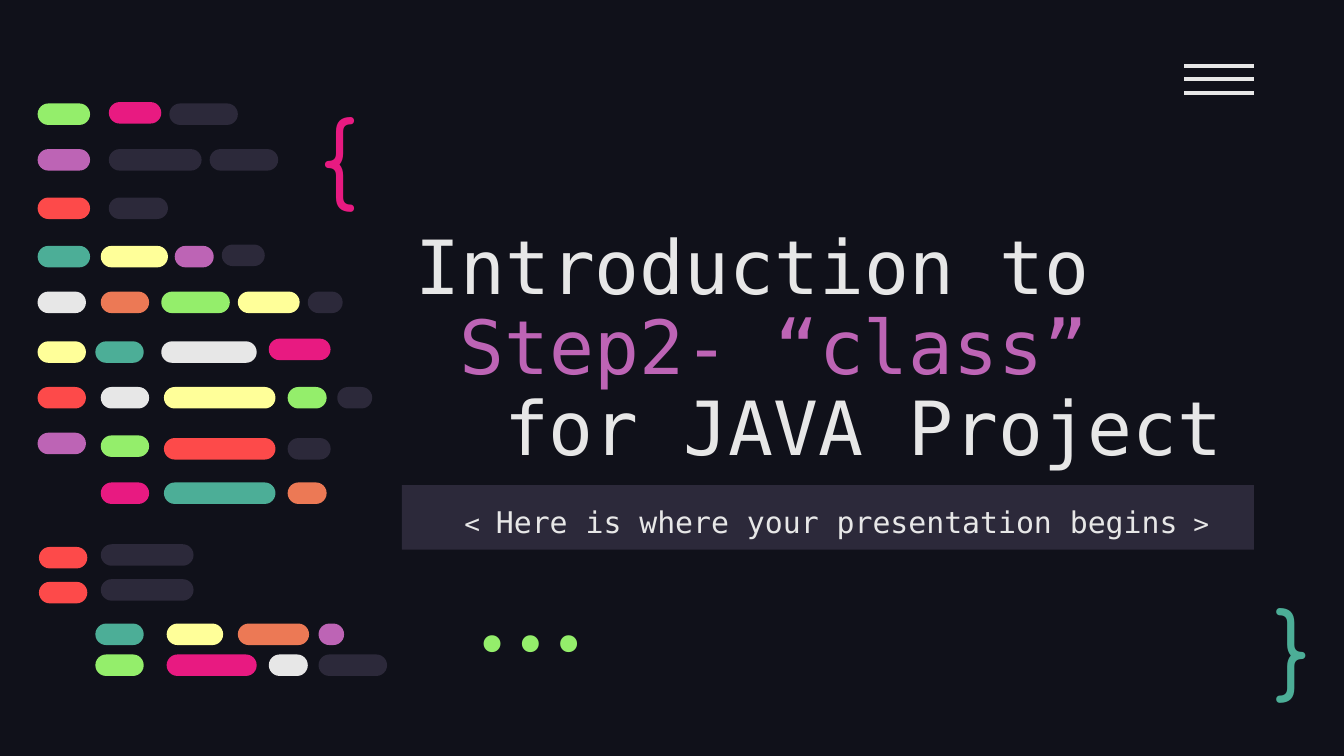
from lxml import etree
from pptx import Presentation, util as u
from pptx.dml.color import RGBColor
from pptx.enum import shapes, text
from pptx.oxml.ns import qn

HUES = {
    "night": "10111A", "slate": "2C293A", "white": "E7E7E7", "plum": "BD64B5",
    "pink": "E81A81", "teal": "4CAE97", "lime": "94EE6B", "red": "FD4A4A",
    "lemon": "FFFF99", "coral": "EC7955",
}
MONO = "DejaVu Sans Mono"
PILL = 0.16

# Rows of code: top, then (left, width, colour) of each pill
CODE = [
    (0.77, [(0.28, 0.39, "lime"), (1.26, 0.51, "slate")]),
    (0.76, [(0.81, 0.39, "pink")]),
    (1.11, [(0.28, 0.39, "plum"), (0.81, 0.69, "slate"), (1.56, 0.51, "slate")]),
    (1.47, [(0.28, 0.39, "red"), (0.81, 0.44, "slate")]),
    (1.83, [(0.28, 0.39, "teal"), (0.75, 0.5, "lemon"), (1.3, 0.29, "plum")]),
    (1.82, [(1.65, 0.32, "slate")]),
    (2.17, [(0.28, 0.36, "white"), (0.75, 0.36, "coral"), (1.2, 0.51, "lime"),
            (1.77, 0.46, "lemon"), (2.29, 0.26, "slate")]),
    (2.54, [(0.28, 0.36, "lemon"), (0.71, 0.36, "teal"), (1.2, 0.71, "white")]),
    (2.52, [(2, 0.46, "pink")]),
    (2.88, [(0.28, 0.36, "red"), (0.75, 0.36, "white"), (1.22, 0.83, "lemon"),
            (2.14, 0.29, "lime"), (2.51, 0.26, "slate")]),
    (3.22, [(0.28, 0.36, "plum")]),
    (3.24, [(0.75, 0.36, "lime")]),
    (3.26, [(1.22, 0.83, "red"), (2.14, 0.32, "slate")]),
    (3.59, [(0.75, 0.36, "pink"), (1.22, 0.83, "teal"), (2.14, 0.29, "coral")]),
    (4.07, [(0.29, 0.36, "red")]),
    (4.05, [(0.75, 0.69, "slate")]),
    (4.33, [(0.29, 0.36, "red")]),
    (4.31, [(0.75, 0.69, "slate")]),
    (4.64, [(0.71, 0.36, "teal"), (1.24, 0.42, "lemon"), (1.77, 0.53, "coral"),
            (2.37, 0.19, "plum")]),
    (4.87, [(0.71, 0.36, "lime"), (1.24, 0.67, "pink"), (2, 0.29, "white"),
            (2.37, 0.51, "slate")]),
]


def color(name):
    return RGBColor.from_string(HUES[name])


def box(*sides):
    return [u.Inches(side) for side in sides]


def style(font, size, hue, face):
    font.size, font.name = u.Pt(size), face
    font.color.rgb = color(hue)


def set_frame(frame, anchor):
    frame.word_wrap = True
    frame.auto_size = text.MSO_AUTO_SIZE.NONE
    frame.vertical_anchor = anchor
    frame.margin_left = frame.margin_right = u.Inches(0.1)
    frame.margin_top = frame.margin_bottom = u.Inches(0.1)


def add_block(group, kind, place, hue):
    block = group.add_shape(kind, *box(*place))
    block.shadow.inherit = False
    block.fill.solid()
    block.fill.fore_color.rgb = color(hue)
    block.line.fill.background()
    return block


def set_title(slide):
    """Fill the title with three lines, each indented one letter further."""
    title = slide.shapes.title
    title.left, title.top, title.width, title.height = box(2.99, 1.38, 6.34, 2.83)
    frame = title.text_frame
    set_frame(frame, text.MSO_ANCHOR.BOTTOM)
    frame.margin_bottom = u.Inches(0.7)
    lines = [("Introduction to", "white"), ("Step2- “class”", "plum"),
             ("for JAVA Project", "white")]
    frame.text = "\n".join(line for line, hue in lines)
    for step, (para, (line, hue)) in enumerate(zip(frame.paragraphs, lines)):
        para.alignment = text.PP_ALIGN.LEFT
        para.line_spacing = 0.9
        para._p.get_or_add_pPr().set("marL", str(u.Inches(0.33 * step)))
        style(para.font, 40, hue, MONO)


def add_banner(slide):
    banner = add_block(slide.shapes, shapes.MSO_SHAPE.RECTANGLE,
                       (2.99, 3.61, 6.34, 0.48), "slate")
    frame = banner.text_frame
    set_frame(frame, text.MSO_ANCHOR.TOP)
    frame.margin_left = u.Inches(0.23)
    para = frame.paragraphs[0]
    para.alignment = text.PP_ALIGN.CENTER
    para.line_spacing = 1.15
    for words, size in [("< ", 14), ("Here is where your presentation begins", 16),
                        (" >", 14)]:
        run = para.add_run()
        run.text = words
        style(run.font, size, "white", MONO)


def add_sign(slide, sign, place, hue, face, anchor, align):
    label = slide.shapes.add_textbox(*box(*place))
    set_frame(label.text_frame, anchor)
    para = label.text_frame.paragraphs[0]
    para.text, para.alignment = sign, align
    style(para.font, 50, hue, face)


def add_menu(slide):
    group = slide.shapes.add_group_shape().shapes
    for row in range(3):
        top = 0.49 + 0.1 * row
        bar = group.add_connector(shapes.MSO_CONNECTOR.STRAIGHT,
                                  *box(8.81, top, 9.33, top))
        bar.line.color.rgb = color("white")
        bar.line.width = u.Pt(2.25)
        etree.SubElement(bar._element.spPr, qn("a:effectLst"))


def add_code(slide):
    group = slide.shapes.add_group_shape().shapes
    for top, pills in CODE:
        for left, width, hue in pills:
            pill = add_block(group, shapes.MSO_SHAPE.ROUNDED_RECTANGLE,
                             (left, top, width, PILL), hue)
            pill.adjustments[0] = 0.5


def main():
    deck = Presentation()
    deck.slide_width = u.Inches(10)
    deck.slide_height = u.Inches(10 * 9 / 16)
    slide = deck.slides.add_slide(deck.slide_layouts[5])
    slide.background.fill.solid()
    slide.background.fill.fore_color.rgb = color("night")
    anchor, align = text.MSO_ANCHOR, text.PP_ALIGN
    set_title(slide)
    add_banner(slide)
    add_sign(slide, "{", (2.29, 0.62, 0.77, 0.95), "pink", "Comfortaa",
             anchor.TOP, align.LEFT)
    add_sign(slide, "}", (9.39, 4.38, 0.57, 0.83), "teal", "Comfortaa",
             anchor.MIDDLE, align.LEFT)
    add_sign(slide, "...", (3.11, 4.49, 1.58, 0.6), "lime", "Fira Code",
             anchor.BOTTOM, align.RIGHT)
    add_menu(slide)
    add_code(slide)
    deck.save("out.pptx")


if __name__ == "__main__":
    main()
